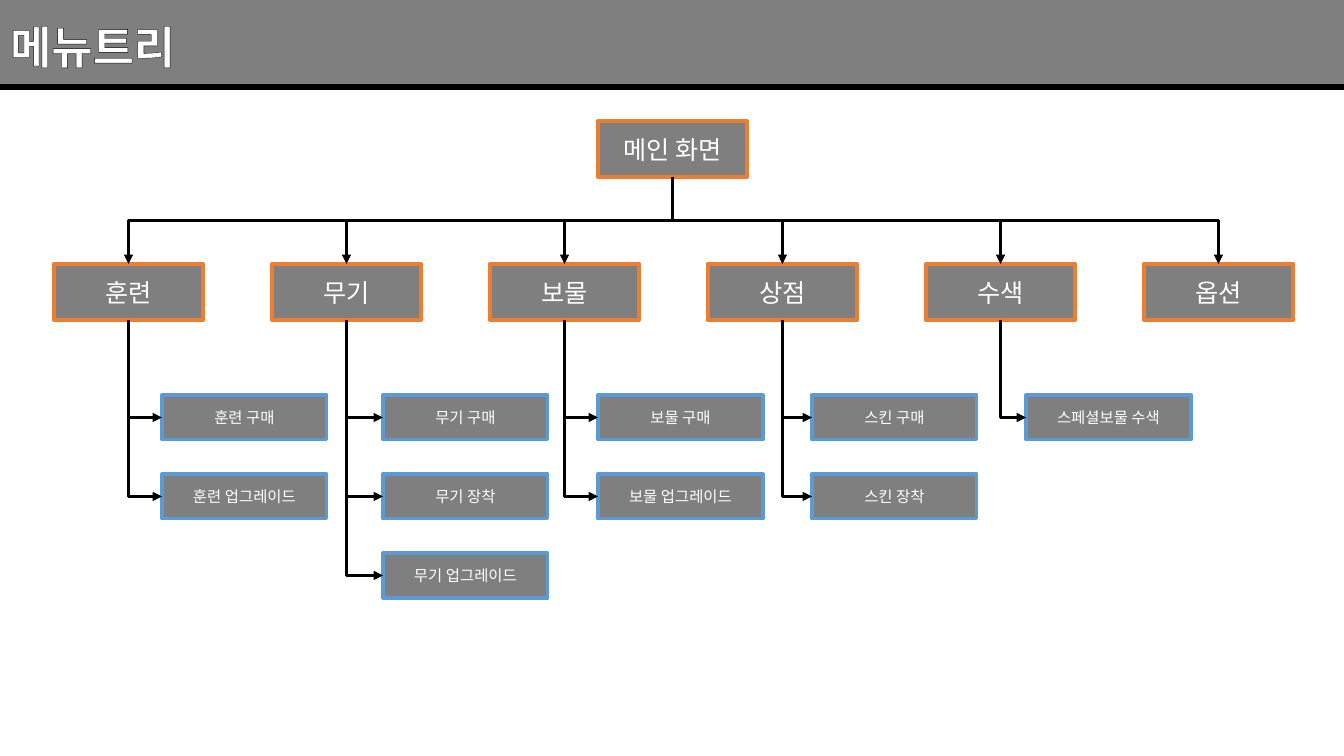
from lxml.etree import SubElement
from pptx import Presentation
from pptx.dml.color import RGBColor
from pptx.enum.shapes import MSO_CONNECTOR as CONN, MSO_SHAPE as SHAPE
from pptx.enum.text import MSO_ANCHOR as ANCHOR, MSO_AUTO_SIZE as AUTO, PP_ALIGN as ALIGN
from pptx.oxml.ns import qn
from pptx.util import Emu, Pt

BLACK = RGBColor(0x00, 0x00, 0x00)
WHITE = RGBColor(0xFF, 0xFF, 0xFF)
GRAY = RGBColor(0x7F, 0x7F, 0x7F)
ORANGE = RGBColor(0xED, 0x7D, 0x31)
BLUE = RGBColor(0x5B, 0x9B, 0xD5)

WIDTH, HEIGHT = 1344, 756
SCALE = 12192000 / WIDTH
BOTTOM, LEFT, TOP = 2, 1, 0

BAR_H = 87
MENU_X, MENU_STEP, MENU_Y = 54, 218, 264
MENU_W, MENU_H = 149, 56
ITEM_Y, ITEM_STEP = 395, 79
ITEM_W, ITEM_H = 165, 45

# menu name, left edge of its items, items
MENUS = [
    ("훈련", 162, ["훈련 구매", "훈련 업그레이드"]),
    ("무기", 383, ["무기 구매", "무기 장착", "무기 업그레이드"]),
    ("보물", 598, ["보물 구매", "보물 업그레이드"]),
    ("상점", 812, ["스킨 구매", "스킨 장착"]),
    ("수색", 1026, ["스페셜보물 수색"]),
    ("옵션", 0, []),
]


def px(n):
    return Emu(round(n * SCALE))


class MenuSlide:
    font = "Noto Sans CJK KR"

    def __init__(self, prs):
        self.s = prs.slides.add_slide(prs.slide_layouts[5])

    def add_text(self, p, text, size, bold=False):
        r = p.add_run()
        r.text = text
        f = r.font
        f.size, f.bold, f.name = Pt(size), bold, self.font
        f.color.rgb = WHITE
        SubElement(r._r.get_or_add_rPr(), qn("a:ea"), typeface=self.font)
        return r

    def title(self, text, x, y, w, h):
        sp = self.s.shapes.title
        sp.left, sp.top, sp.width, sp.height = px(x), px(y), px(w), px(h)
        sp.element.getparent().append(sp.element)  # in front of the bar
        tf = sp.text_frame
        tf.word_wrap, tf.auto_size = True, AUTO.SHAPE_TO_FIT_TEXT
        tf.vertical_anchor = ANCHOR.TOP
        p = tf.paragraphs[0]
        p.alignment = ALIGN.LEFT
        rpr = self.add_text(p, text, 32, True)._r.rPr
        ln = SubElement(rpr, qn("a:ln"), w=str(Pt(1.5)))
        SubElement(SubElement(ln, qn("a:solidFill")), qn("a:srgbClr"), val=str(BLACK))
        rpr.insert(0, ln)

    def rect(self, x, y, w, h, fill):
        sp = self.s.shapes.add_shape(SHAPE.RECTANGLE, px(x), px(y), px(w), px(h))
        sp.shadow.inherit = False
        sp.fill.solid()
        sp.fill.fore_color.rgb = fill
        return sp

    def header_bar(self, h):
        sp = self.rect(0, 0, WIDTH, h, BLACK)
        sp.line.fill.background()
        clr = sp.element.spPr.find(".//" + qn("a:srgbClr"))
        SubElement(clr, qn("a:alpha"), val="50000")
        cx = self.s.shapes.add_connector(CONN.STRAIGHT, 0, px(h), px(WIDTH), px(h))
        self.line_style(cx, 4.5)

    def box(self, text, x, y, w, h, edge, edge_pt, size):
        sp = self.rect(x, y, w, h, GRAY)
        sp.line.color.rgb, sp.line.width = edge, Pt(edge_pt)
        tf = sp.text_frame
        tf.word_wrap, tf.vertical_anchor = True, ANCHOR.MIDDLE
        p = tf.paragraphs[0]
        p.alignment = ALIGN.CENTER
        self.add_text(p, text, size)
        return sp

    def menu_box(self, text, x, y):
        return self.box(text, x, y, MENU_W, MENU_H, ORANGE, 3, 18)

    def item_box(self, text, x, y):
        return self.box(text, x, y, ITEM_W, ITEM_H, BLUE, 2.25, 11)

    def line_style(self, cx, width):
        cx.line.color.rgb, cx.line.width = BLACK, Pt(width)
        SubElement(cx.element.spPr, qn("a:effectLst"))

    def elbow(self, parent, child, side):
        """Arrow from the bottom of parent to the top or left side of child."""
        x1, y1 = parent.left + parent.width // 2, parent.top + parent.height
        if side == TOP:
            x2, y2 = child.left + child.width // 2, child.top
        else:
            x2, y2 = child.left, child.top + child.height // 2
        cx = self.s.shapes.add_connector(CONN.ELBOW, x1, y1, x2, y2)
        cx.begin_connect(parent, BOTTOM)
        cx.end_connect(child, side)
        # A path that leaves downwards is a sideways elbow turned a quarter
        w, h = y2 - y1, abs(x2 - x1)
        cx.left, cx.top = Emu((x1 + x2 - w) // 2), Emu((y1 + y2 - h) // 2)
        cx.width, cx.height = Emu(w), Emu(h)
        xfrm = cx.element.spPr.find(qn("a:xfrm"))
        right = x2 > x1
        xfrm.set("rot", "16200000" if right else "5400000")
        xfrm.set("flipH", "1" if right else "0")
        xfrm.set("flipV", "0")
        if side == LEFT:
            cx.element.spPr.find(qn("a:prstGeom")).set("prst", "bentConnector2")
        self.line_style(cx, 2.25)
        SubElement(cx.element.spPr.find(qn("a:ln")), qn("a:tailEnd"), type="triangle")


def main():
    prs = Presentation()
    prs.slide_width, prs.slide_height = px(WIDTH), px(HEIGHT)
    slide = MenuSlide(prs)
    slide.header_bar(BAR_H)
    slide.title("메뉴트리", 0, 14, 550, 64)

    root = slide.menu_box("메인 화면", 598, 121)
    for col, (name, item_x, items) in enumerate(MENUS):
        menu = slide.menu_box(name, MENU_X + col * MENU_STEP, MENU_Y)
        slide.elbow(root, menu, TOP)
        for row, label in enumerate(items):
            item = slide.item_box(label, item_x, ITEM_Y + row * ITEM_STEP)
            slide.elbow(menu, item, LEFT)

    prs.save("out.pptx")


if __name__ == "__main__":
    main()
